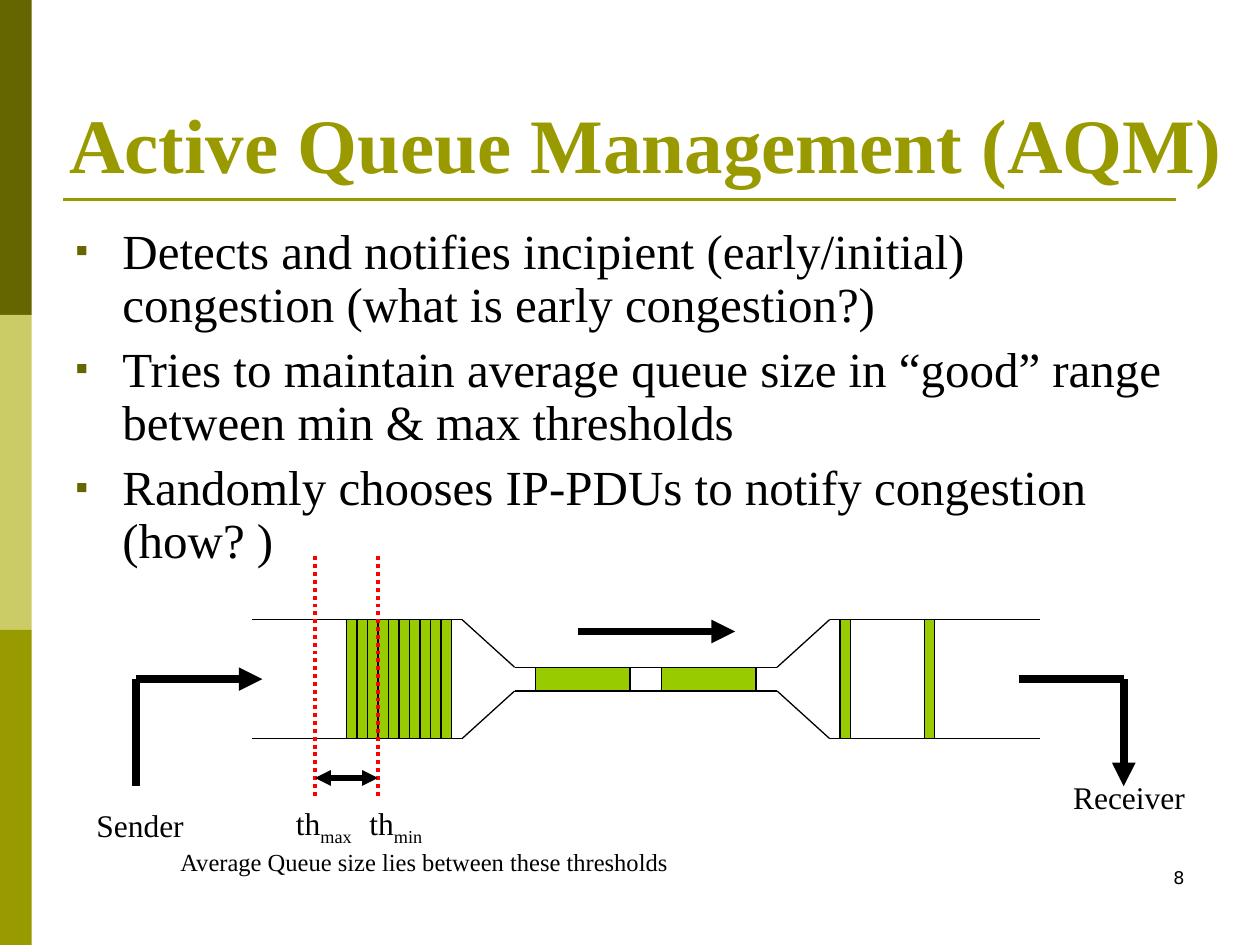
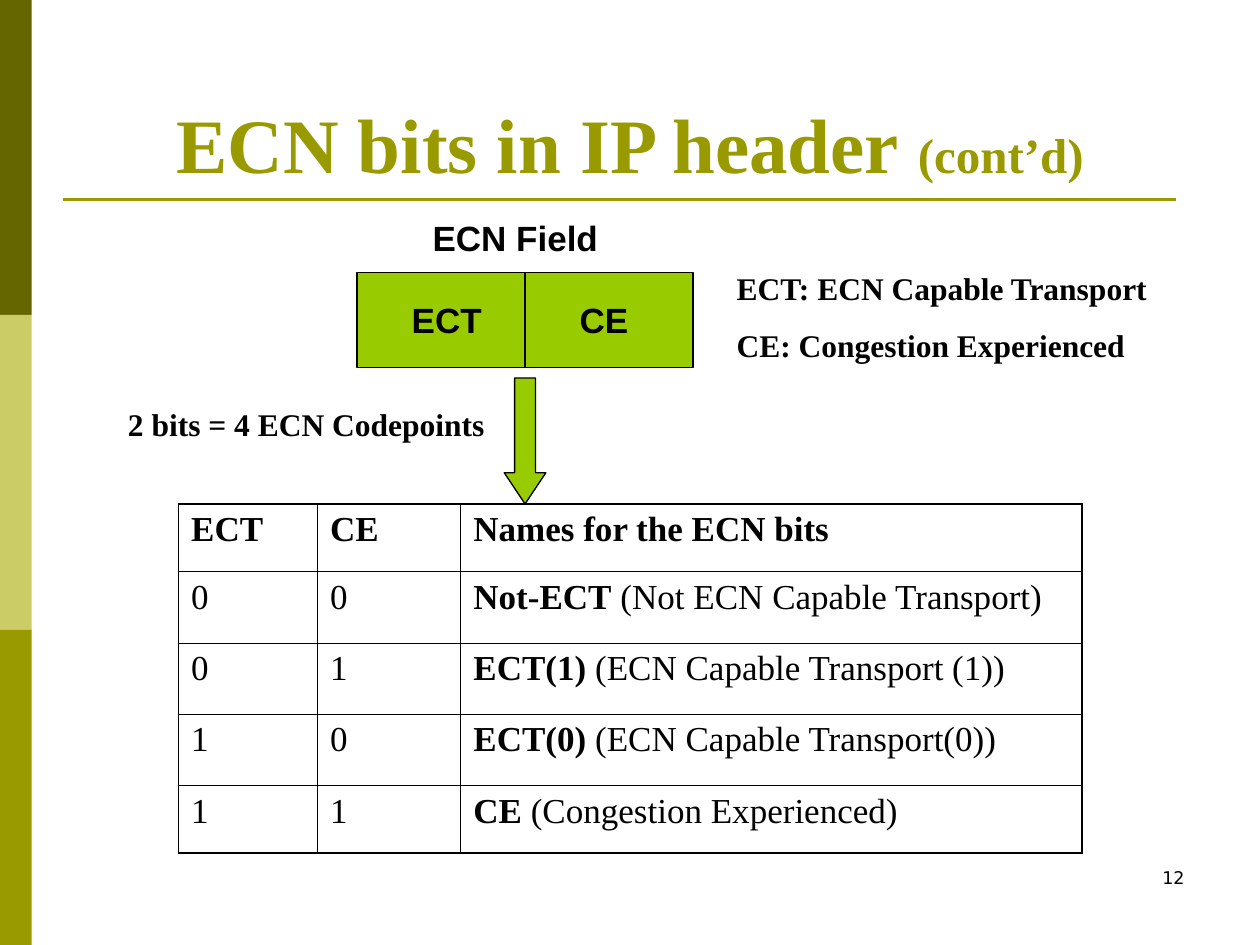
import itertools

import pptx
import pptx.dml.color
import pptx.enum.dml
import pptx.enum.shapes
import pptx.enum.text
import pptx.oxml
import pptx.oxml.ns
import pptx.util
from pptx.util import Cm

COLORS = {
    "dark": "666600",
    "pale": "CCCC66",
    "olive": "999900",
    "green": "99CC00",
    "red": "FF0000",
    "black": "000000",
}
SERIF = "Times New Roman"
TITLE = {"name": SERIF, "size": 44, "bold": True, "color": "olive"}
BODY = {"name": SERIF, "size": 28}
LABEL = {"name": SERIF, "size": 18}
BOLD_LABEL = {**LABEL, "bold": True}
NOTE = {"name": SERIF, "size": 14}
FIELD = {"name": "Arial", "size": 20, "bold": True}
CELL = {"name": SERIF, "size": 20}
NUMBER = {"name": "DejaVu Sans", "size": 10}
SHAPE = pptx.enum.shapes.MSO_SHAPE
ALIGN = pptx.enum.text.PP_ALIGN
ANCHOR = pptx.enum.text.MSO_ANCHOR


def rgb(name):
    return pptx.dml.color.RGBColor.from_string(COLORS[name])


def add_xml(parent, xml, index=None):
    ns = pptx.oxml.ns.nsdecls("a")
    tag, rest = xml[1:].split(">", 1)
    closed = tag.endswith("/")
    tag = tag.rstrip("/")
    name, _, attrs = tag.partition(" ")
    el = pptx.oxml.parse_xml(f"<{name} {ns} {attrs}{'/' if closed else ''}>{rest}")
    parent.insert(len(parent) if index is None else index, el)


def add_runs(p, runs, fmt):
    for text, extra in runs:
        look = {"color": "black", **fmt, **extra}
        r = p.add_run()
        r.text = text
        r.font.color.rgb = rgb(look.pop("color"))
        baseline = look.pop("baseline", None)
        if baseline:
            r._r.get_or_add_rPr().set("baseline", str(baseline))
        look["size"] = pptx.util.Pt(look["size"])
        for key, value in look.items():
            setattr(r.font, key, value)


def add_bullet(p):
    pPr = p._p.get_or_add_pPr()
    pPr.set("marL", str(Cm(0.95)))
    pPr.set("indent", str(-Cm(0.95)))
    add_xml(pPr, f'<a:buClr><a:srgbClr val="{COLORS["dark"]}"/></a:buClr>')
    add_xml(pPr, '<a:buSzPct val="75000"/>')
    add_xml(pPr, '<a:buFont typeface="Times New Roman"/>')
    add_xml(pPr, '<a:buChar char="▪"/>')


def add_text(s, box, paragraphs, fmt, align=ALIGN.LEFT, anchor=ANCHOR.TOP,
             space=0, line_spacing=None, bullet=False):
    tf = s.shapes.add_textbox(*map(Cm, box)).text_frame
    tf.word_wrap = True
    tf.vertical_anchor = anchor
    for i, runs in enumerate(paragraphs):
        p = tf.paragraphs[0] if i == 0 else tf.add_paragraph()
        if bullet:
            add_bullet(p)
        layout = {
            "alignment": align,
            "line_spacing": line_spacing,
            "space_before": pptx.util.Pt(space if i else 0),
        }
        for key, value in layout.items():
            setattr(p, key, value)
        add_runs(p, [(runs, {})] if isinstance(runs, str) else runs, fmt)


def add_block(s, box, fill, line=None, kind=SHAPE.RECTANGLE):
    sp = s.shapes.add_shape(kind, *map(Cm, box))
    sp.shadow.inherit = False
    sp.fill.solid()
    sp.fill.fore_color.rgb = rgb(fill)
    if line:
        sp.line.color.rgb = rgb(line)
        sp.line.width = pptx.util.Pt(0.75)
    else:
        sp.line.fill.background()
    return sp


def add_line(s, start, end, width=0.75, color="black", dash=None, ends=()):
    c = s.shapes.add_connector(
        pptx.enum.shapes.MSO_CONNECTOR.STRAIGHT, *map(Cm, (*start, *end)))
    c.line.color.rgb = rgb(color)
    c.line.width = pptx.util.Pt(width)
    if dash:
        c.line.dash_style = dash
    for end_name in ends:
        add_xml(c.line._get_or_add_ln(), f'<a:{end_name} type="triangle"/>')
    add_xml(c._element.spPr, "<a:effectLst/>")
    return c


def add_frame(prs, title, title_box, number):
    s = prs.slides.add_slide(prs.slide_layouts[6])
    band = 19.05 / 3
    for i, fill in enumerate(("dark", "pale", "olive")):
        add_block(s, (0, i * band, 0.64, band), fill)
    add_line(s, (1.27, 4.02), (23.7, 4.02), 1.5, "olive")
    add_text(s, title_box, [title], TITLE, ALIGN.CENTER, ANCHOR.BOTTOM)
    add_text(s, (18.2, 17.36, 5.93, 1.27), [number], NUMBER, ALIGN.RIGHT)
    return s


def add_queue_diagram(s, box):
    left, top, width, height = box
    unit = width / 75

    def at(col, row):
        return left + col * unit, top + row * height

    def packet(col, row, cols, rows):
        add_block(s, (*at(col, row), cols * unit, rows * height), "green", "black")

    def label(col, row, cols, rise, runs, fmt=LABEL):
        add_text(s, (*at(col, row), cols * unit, rise), [runs], fmt)

    outline = [(0, 0), (20, 0), (25, 0.4), (50, 0.4), (55, 0), (75, 0)]
    for (col1, row1), (col2, row2) in itertools.pairwise(outline):
        add_line(s, at(col1, row1), at(col2, row2))
        add_line(s, at(col1, 1 - row1), at(col2, 1 - row2))

    for col in (*range(9, 19), 56, 64):
        packet(col, 0, 1, 1)
    for col in (27, 39):
        packet(col, 0.4, 9, 0.2)

    flows = [
        ((-11, 0.5), (1, 0.5), ["tailEnd"]),
        ((-11, 0.5), (-11, 1.4), []),
        ((31, 0.1), (46, 0.1), ["tailEnd"]),
        ((73, 0.5), (83, 0.5), []),
        ((83, 0.5), (83, 1.4), ["tailEnd"]),
    ]
    for start, end, ends in flows:
        add_line(s, at(*start), at(*end), 4.5, ends=ends)

    for col in (6, 12):
        add_line(s, at(col, -0.53), at(col, 1.5), 2.25, "red",
                 pptx.enum.dml.MSO_LINE.ROUND_DOT)
    add_line(s, at(6, 1.33), at(12, 1.33), 3, ends=["headEnd", "tailEnd"])

    label(-16, 1.51, 13, 1.02, "Sender")
    label(77, 1.28, 14, 1.02, "Receiver")
    for col, cols, name in ((3, 9, "max"), (10, 8, "min")):
        label(col, 1.5, cols, 1.12, [("th", {}), (name, {"baseline": -25000})])
    label(-8, 1.86, 50, 0.86, "Average Queue size lies between these thresholds", NOTE)


def add_ecn_field(s, box):
    left, top, width, height = box
    half = width / 2
    sp = add_block(s, box, "green", "black")
    divider = add_line(s, (left + half, top), (left + half, top + height))
    divider.begin_connect(sp, 0)
    divider.end_connect(sp, 2)
    for i, bit in enumerate(("ECT", "CE")):
        add_text(s, (left + 0.85 + i * half, top + 0.39, 2.34, 1.12), [bit], FIELD)
    add_text(s, (left + 1.27, top - 1.27, 4.66, 1.12), ["ECN Field"], FIELD)
    arrow = add_block(s, (left + half - 0.42, top + height + 0.21, 0.84, 2.54),
                      "green", "black", SHAPE.DOWN_ARROW)
    arrow.adjustments[0], arrow.adjustments[1] = 0.5, 0.75


def add_borders(cell, outer_sides):
    tcPr = cell._tc.get_or_add_tcPr()
    for i, side in enumerate("LRTB"):
        width = pptx.util.Pt(1.08 if side in outer_sides else 0.45)
        add_xml(tcPr, f'<a:ln{side} w="{width}"><a:solidFill><a:srgbClr '
                f'val="{COLORS["black"]}"/></a:solidFill></a:ln{side}>', i)


def add_codepoint_table(s, left, top):
    bold = {"bold": True}
    rows = [
        ("ECT", "CE", "Names for the ECN bits", ""),
        ("0", "0", "Not-ECT", " (Not ECN Capable Transport)"),
        ("0", "1", "ECT(1)", " (ECN Capable Transport (1))"),
        ("1", "0", "ECT(0)", " (ECN Capable Transport(0))"),
        ("1", "1", "CE", " (Congestion Experienced)"),
    ]
    widths = (2.8, 2.89, 12.52)
    heights = (1.36, 1.44, 1.44, 1.44, 1.36)
    table = s.shapes.add_table(len(rows), len(widths), Cm(left), Cm(top),
                               Cm(sum(widths)), Cm(sum(heights))).table
    table.first_row = table.horz_banding = False
    for column, width in zip(table.columns, widths):
        column.width = Cm(width)
    for i, (ect, ce, name, meaning) in enumerate(rows):
        table.rows[i].height = Cm(heights[i])
        head = bold if i == 0 else {}
        names = [(name, bold)] + ([(meaning, {})] if meaning else [])
        for j, runs in enumerate(([(ect, head)], [(ce, head)], names)):
            cell = table.cell(i, j)
            cell.fill.background()
            add_runs(cell.text_frame.paragraphs[0], runs, CELL)
            edges = {"L": j == 0, "R": j == len(widths) - 1,
                     "T": i == 0, "B": i == len(rows) - 1}
            add_borders(cell, [side for side, outer in edges.items() if outer])


def add_aqm_slide(prs):
    s = add_frame(prs, "Active Queue Management (AQM)",
                  (0.64, 0.76, 24.76, 3.18), "8")
    add_text(s, (1.27, 4.45, 22.86, 7.19), [
        "Detects and notifies incipient (early/initial) congestion "
        "(what is early congestion?)",
        "Tries to maintain average queue size in “good” range "
        "between min & max thresholds",
        "Randomly chooses IP-PDUs to notify congestion (how? )",
    ], BODY, space=7, line_spacing=0.9, bullet=True)
    add_queue_diagram(s, (5.08, 12.49, 15.88, 2.4))


def add_ecn_slide(prs):
    title = [("ECN bits in IP header ", {}), ("(cont’d)", {"size": 28})]
    s = add_frame(prs, title, (1.27, 0.76, 22.86, 3.18), "12")
    add_ecn_field(s, (7.2, 5.5, 6.77, 1.91))
    add_codepoint_table(s, 3.6, 10.16)
    add_text(s, (2.33, 8.04, 7.83, 1.02), ["2 bits = 4 ECN Codepoints"], BOLD_LABEL)
    add_text(s, (14.6, 5.29, 8.89, 2.18),
             ["ECT: ECN Capable Transport", "CE: Congestion Experienced"],
             BOLD_LABEL, space=11.2)


def main():
    prs = pptx.Presentation()
    prs.slide_width, prs.slide_height = Cm(25.4), Cm(19.05)
    add_aqm_slide(prs)
    add_ecn_slide(prs)
    prs.save("out.pptx")


if __name__ == "__main__":
    main()
